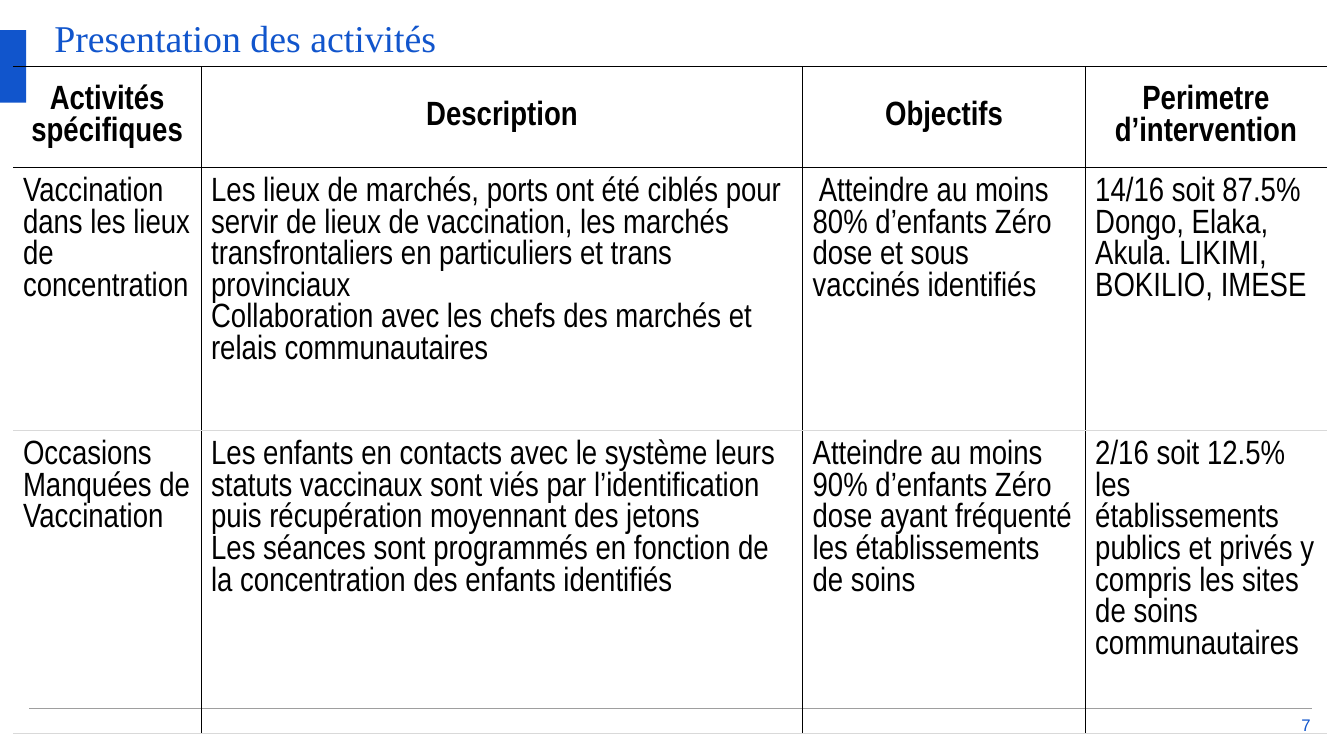
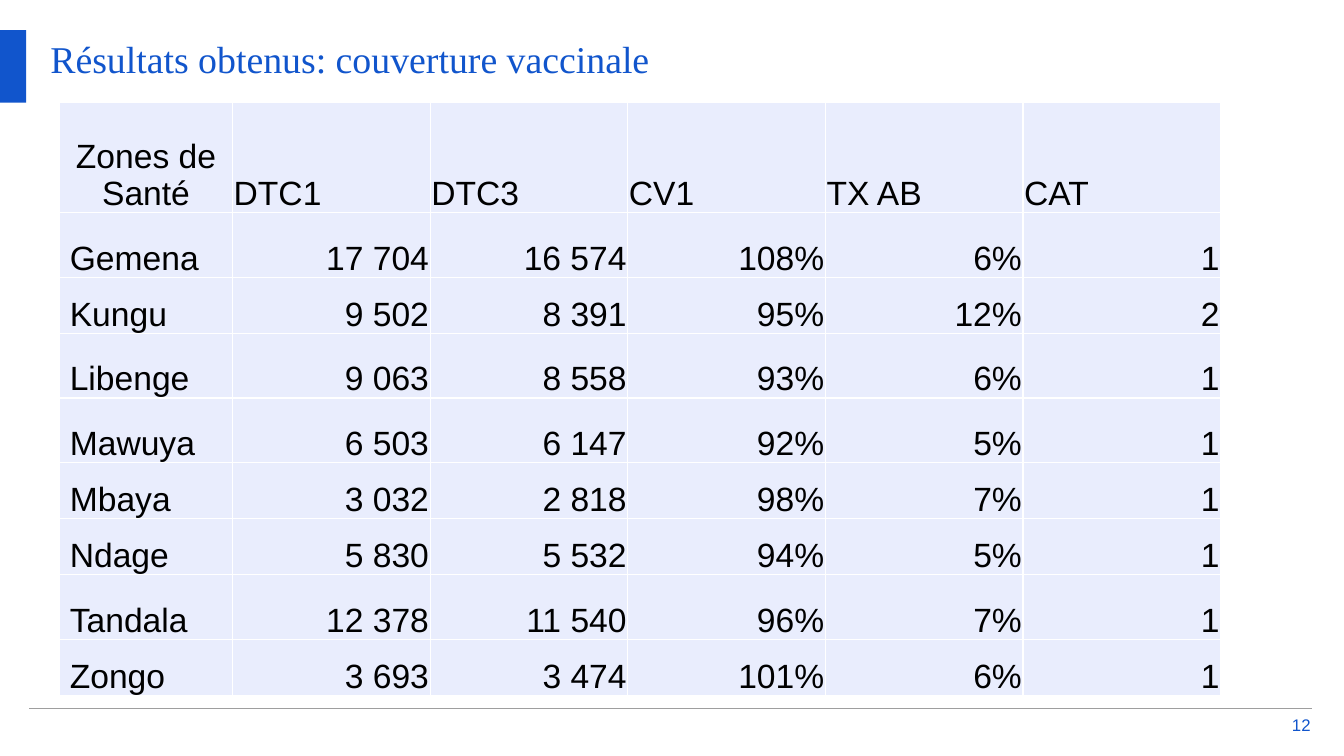
from itertools import accumulate
from pptx import Presentation
from pptx.dml.color import RGBColor
from pptx.enum.shapes import MSO_CONNECTOR as CONN, MSO_SHAPE as SHAPE
from pptx.enum.text import MSO_ANCHOR as ANCHOR, PP_ALIGN as ALIGN
from pptx.oxml.ns import qn
from pptx.util import Cm, Pt
from lxml.etree import SubElement

BLUE, GREY, BLACK, WHITE = "1155CC", "9E9E9E", "000000", "FFFFFF"
PALE_GREY, LAVENDER = "D9D9D9", "E9EDFD"
SLIDE_W, SLIDE_H = 33.87, 19.05

TITLE = {"name": "Times New Roman", "size": Pt(27), "color": BLUE}
NUMBER = {"name": "Arial", "size": Pt(12), "color": BLUE}
NARROW = {"name": "Arial Narrow", "size": Pt(24), "color": BLACK, "bold": False}
HEAD = {**NARROW, "bold": True}
FIGURES = {"name": "Arial", "size": Pt(24), "color": BLACK, "bold": False}

ACTIVITIES = [
    ["Activités spécifiques", "Description", "Objectifs", "Perimetre d’intervention"],
    ["Vaccination dans les lieux de concentration",
     "Les lieux de marchés, ports ont été ciblés pour servir de lieux de vaccination, "
     "les marchés transfrontaliers en particuliers et trans provinciaux\n"
     "Collaboration avec les chefs des marchés et relais communautaires",
     " Atteindre au moins 80% d’enfants Zéro dose et sous vaccinés identifiés",
     "14/16 soit 87.5%\nDongo, Elaka, Akula. LIKIMI, BOKILIO, IMESE"],
    ["Occasions Manquées de Vaccination",
     "Les enfants en contacts avec le système leurs statuts vaccinaux sont viés par "
     "l’identification puis récupération moyennant des jetons\n"
     "Les séances sont programmés en fonction de la concentration des enfants identifiés",
     "Atteindre au moins 90% d’enfants Zéro dose ayant fréquenté les établissements de soins",
     "2/16 soit 12.5% les établissements publics et privés y compris les sites de soins "
     "communautaires"],
]
COVERAGE = [
    ["Zones de Santé", "DTC1", "DTC3", "CV1", "TX AB", "CAT"],
    ["Gemena", "17 704", "16 574", "108%", "6%", "1"],
    ["Kungu", "9 502", "8 391", "95%", "12%", "2"],
    ["Libenge", "9 063", "8 558", "93%", "6%", "1"],
    ["Mawuya", "6 503", "6 147", "92%", "5%", "1"],
    ["Mbaya", "3 032", "2 818", "98%", "7%", "1"],
    ["Ndage", "5 830", "5 532", "94%", "5%", "1"],
    ["Tandala", "12 378", "11 540", "96%", "7%", "1"],
    ["Zongo", "3 693", "3 474", "101%", "6%", "1"],
]


def rgb(value):
    """Turn a hex string into a colour."""
    return RGBColor.from_string(value)


def write(tf, text, fmt, align=ALIGN.LEFT):
    """Fill a text frame, one paragraph for each line of text."""
    for i, line in enumerate(text.split("\n")):
        p = tf.add_paragraph() if i else tf.paragraphs[0]
        p.alignment = align
        r = p.add_run()
        r.text = line
        for key, value in fmt.items():
            if key == "color":
                r.font.color.rgb = rgb(value)
            else:
                setattr(r.font, key, value)


def add_text(s, box, text, fmt, align=ALIGN.LEFT, anchor=ANCHOR.TOP, wrap=True):
    """Add a text box without insets."""
    tf = s.shapes.add_textbox(*map(Cm, box)).text_frame
    for side in ("left", "top", "right", "bottom"):
        setattr(tf, f"margin_{side}", 0)
    tf.word_wrap, tf.vertical_anchor = wrap, anchor
    write(tf, text, fmt, align)


def add_frame(prs, title, title_box, number):
    """Add a slide with its title, side band, page number and footer rule."""
    s = prs.slides.add_slide(prs.slide_layouts[6])
    add_text(s, title_box, title, TITLE)
    band = s.shapes.add_shape(SHAPE.RECTANGLE, *map(Cm, (0, 0.76, 0.66, 1.83)))
    band.shadow.inherit = False
    band.fill.solid()
    band.fill.fore_color.rgb = rgb(BLUE)
    band.line.fill.background()
    add_text(s, (32.39, 18.03, 0.64, 0.46), number, NUMBER, ALIGN.RIGHT, ANCHOR.MIDDLE, False)
    rule = s.shapes.add_connector(CONN.STRAIGHT, *map(Cm, (0.74, 17.86, 33.07, 17.86)))
    rule.line.color.rgb = rgb(GREY)
    rule.line.width = Pt(1)
    SubElement(rule._element.spPr, qn("a:effectLst"))
    return s


def set_borders(cell, colors, width):
    """Draw the left, right, top and bottom borders; None means no line."""
    tcPr = cell._tc.get_or_add_tcPr()
    for side, color in zip("LRTB", colors):
        ln = SubElement(tcPr, qn(f"a:ln{side}"), w=str(Pt(width)))
        if color:
            fill = SubElement(ln, qn("a:solidFill"))
            SubElement(fill, qn("a:srgbClr"), val=color)
        else:
            SubElement(ln, qn("a:noFill"))


def add_grid(s, origin, widths, heights, rows, style, v_lines, h_lines, line_w, fill=None):
    """Add a table; style(row, column) gives format, alignment, anchor and margins."""
    size = sum(widths), sum(heights)
    table = s.shapes.add_table(len(rows), len(widths), *map(Cm, (*origin, *size))).table
    table.first_row = table.horz_banding = False
    for col, width in zip(table.columns, widths):
        col.width = Cm(width)
    for row, height in zip(table.rows, heights):
        row.height = Cm(height)
    for i, values in enumerate(rows):
        for j, value in enumerate(values):
            cell = table.cell(i, j)
            fmt, align, anchor, margins = style(i, j)
            for side, margin in zip(("left", "top", "right", "bottom"), margins):
                setattr(cell, f"margin_{side}", Cm(margin))
            cell.vertical_anchor = anchor
            set_borders(cell, (*v_lines[j:j + 2], *h_lines[i:i + 2]), line_w)
            if fill:
                cell.fill.solid()
                cell.fill.fore_color.rgb = rgb(fill)
            else:
                cell.fill.background()
            write(cell.text_frame, value, fmt, align)


def activity_style(i, j):
    """Give the cell style of the activities table."""
    margins = (0.25,) * 4
    if i == 0:
        return HEAD, ALIGN.CENTER, ANCHOR.MIDDLE, margins
    return NARROW, ALIGN.LEFT, ANCHOR.TOP, margins


def coverage_style(i, j):
    """Give the cell style of the coverage table."""
    if i == 0:
        align = ALIGN.LEFT if j else ALIGN.CENTER
    else:
        align = ALIGN.RIGHT if j else ALIGN.LEFT
    left = 0.26 if i and not j else 0.03
    return FIGURES, align, ANCHOR.BOTTOM, (left, 0.03, 0.03, 0)


def activities_slide(prs):
    """Build the slide of activities."""
    s = add_frame(prs, "Presentation des activités", (1.37, 0.38, 31.32, 2.03), "7")
    add_grid(s, (0.33, 1.68), (4.74, 15.16, 7.12, 6.08), (2.36, 6.63, 7.65), ACTIVITIES,
             activity_style, (None, BLACK, BLACK, BLACK, None),
             (BLACK, BLACK, PALE_GREY, PALE_GREY), 0.75)


def coverage_slide(prs):
    """Build the slide of vaccine coverage."""
    s = add_frame(prs, "Résultats obtenus: couverture vaccinale", (1.27, 0.89, 31.32, 2.03), "12")
    tall, low = 1.63, 1.41
    heights = (2.78, tall, low, tall, tall, low, low, tall, low)
    add_grid(s, (1.5, 2.58), (4.36, *[4.98] * 5), heights, COVERAGE,
             coverage_style, [WHITE] * 7, [WHITE] * 10, 1, LAVENDER)


def main():
    """Build and save the presentation."""
    prs = Presentation()
    prs.slide_width, prs.slide_height = Cm(SLIDE_W), Cm(SLIDE_H)
    activities_slide(prs)
    coverage_slide(prs)
    prs.save("out.pptx")


if __name__ == "__main__":
    main()
